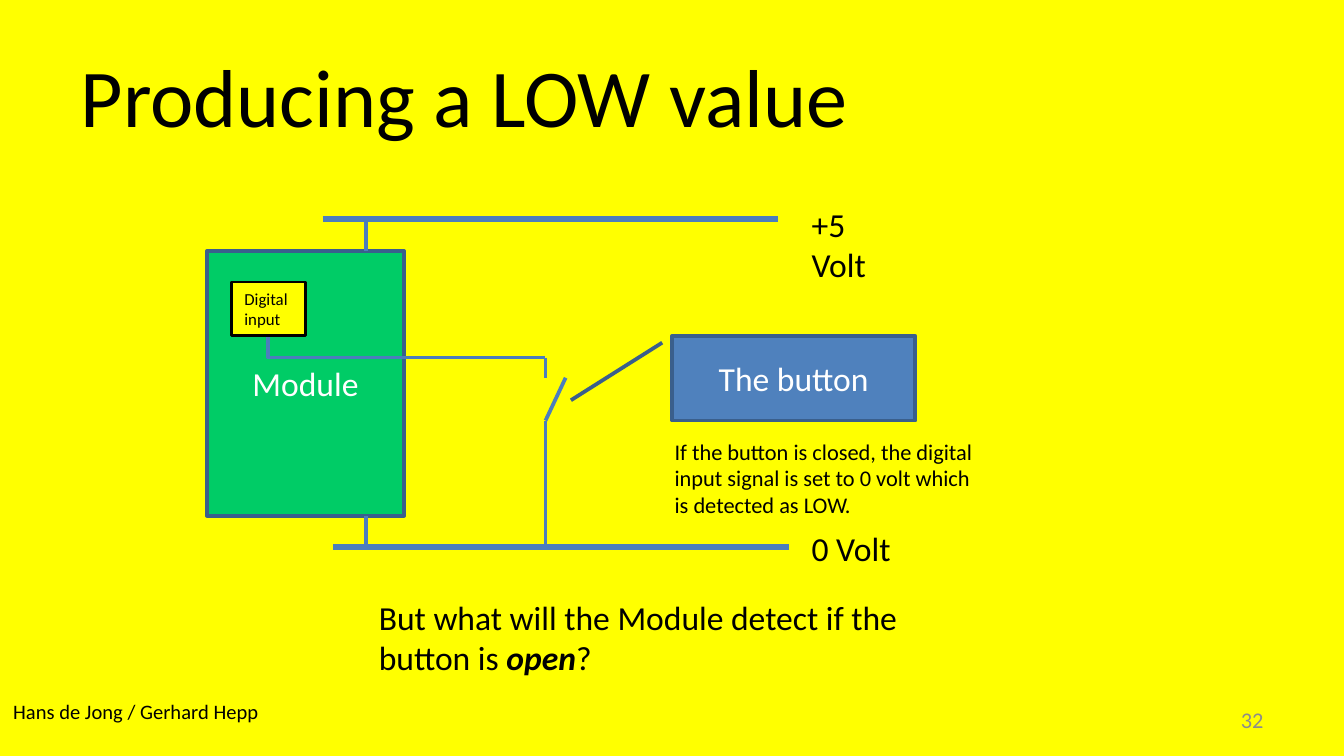
from lxml.etree import SubElement
from pptx import Presentation
from pptx.dml.color import RGBColor
from pptx.enum.shapes import MSO_CONNECTOR as Wire, MSO_SHAPE as Shape
from pptx.enum.text import MSO_ANCHOR as Anchor, PP_ALIGN as Align
from pptx.oxml.ns import qn
from pptx.util import Cm, Pt

COLORS = {
    "background": "FFFF00", "text": "000000", "light": "FFFFFF", "muted": "8C8C8C",
    "wire": "4B7EBC", "outline": "3A5F8C", "board": "00CC66", "button": "4F81BD",
}


def color(name):
    """Return the named colour."""
    return RGBColor.from_string(COLORS[name])


def write(shape, runs, size, ink="text", align=Align.LEFT, anchor=Anchor.TOP, wrap=True):
    """Write (text, font format) runs into a shape as one paragraph."""
    frame = shape.text_frame
    for key, value in {"word_wrap": wrap, "vertical_anchor": anchor}.items():
        setattr(frame, key, value)
    paragraph = frame.paragraphs[0]
    paragraph.alignment = align
    for text, extra in runs:
        run = paragraph.add_run()
        run.text = text
        for key, value in {"name": "Calibri", "size": Pt(size), **extra}.items():
            setattr(run.font, key, value)
        run.font.color.rgb = color(ink)


def add_text(slide, box, runs, size, **format_values):
    """Add a text box at a box given in centimetres."""
    write(slide.shapes.add_textbox(*map(Cm, box)), runs, size, **format_values)


def add_block(slide, box, fill, line, width, kind=Shape.RECTANGLE):
    """Add a filled and outlined shape."""
    block = slide.shapes.add_shape(kind, *map(Cm, box))
    block.shadow.inherit = False
    block.fill.solid()
    block.fill.fore_color.rgb = color(fill)
    block.line.color.rgb = color(line)
    block.line.width = Pt(width)
    return block


def add_wire(slide, start, end, width=2, kind=Wire.STRAIGHT):
    """Add a wire between two points."""
    wire = slide.shapes.add_connector(kind, *map(Cm, (*start, *end)))
    wire.line.color.rgb = color("wire")
    wire.line.width = Pt(width)
    SubElement(wire._element.spPr, qn("a:effectLst"))
    return wire


def add_corner_wire(slide, start, end):
    """Add a wire that runs down from its start and then right to its end."""
    (x1, y1), (x2, y2) = start, end
    mid_x, mid_y = (x1 + x2) / 2, (y1 + y2) / 2
    half_run, half_drop = (x2 - x1) / 2, (y2 - y1) / 2
    wire = add_wire(slide, (mid_x + half_drop, mid_y - half_run),
                    (mid_x - half_drop, mid_y + half_run), kind=Wire.ELBOW)
    properties = wire._element.spPr
    properties.find(qn("a:prstGeom")).set("prst", "bentConnector2")
    properties.find(qn("a:xfrm")).set("rot", str(270 * 60000))


def add_title(slide, left, top, width, height):
    """Place and format the title."""
    title = slide.shapes.title
    for key, value in {"left": left, "top": top, "width": width, "height": height}.items():
        setattr(title, key, Cm(value))
    write(title, [("Producing a LOW value", {})], 44, anchor=Anchor.MIDDLE)


def add_circuit(slide, left, top, height):
    """Draw the board, its rails, the switch and their labels."""
    def at(x, y, *size):
        return (left + x, top + y, *size)

    rail_length, pin_x, switch_x = 8.61, 3, 6.4
    board_top, board_height = 0.61, 5
    centred = {"ink": "light", "align": Align.CENTER, "anchor": Anchor.MIDDLE}

    board = add_block(slide, at(0, board_top, 3.73, board_height), "board", "outline", 2)
    write(board, [("Module", {})], 18, **centred)

    rails = [("+5 Volt", 2.19, 0, -0.41), ("0 Volt", 2.39, height, height - 0.48)]
    for label, rail_x, rail_y, label_y in rails:
        add_wire(slide, at(rail_x, rail_y), at(rail_x + rail_length, rail_y), 3)
        add_text(slide, at(11.18, label_y, 2.3, 1.02), [(label, {})], 18, wrap=False)
    for start_y, end_y in [(0, board_top), (board_top + board_height, height)]:
        add_wire(slide, at(pin_x, start_y), at(pin_x, end_y))

    input_x, input_y, input_width, input_height = 0.46, 1.19, 1.4, 1.02
    contact_y, blade_y, pivot_y = 2.62, 3, 3.81
    add_corner_wire(slide, at(input_x + input_width / 2, input_y + input_height),
                    at(switch_x, contact_y))
    add_wire(slide, at(switch_x, contact_y), at(switch_x, blade_y))
    add_wire(slide, at(switch_x, pivot_y), at(switch_x + 0.38, blade_y))
    add_wire(slide, at(switch_x, height), at(switch_x, pivot_y))

    digital_input = add_block(slide, at(input_x, input_y, input_width, input_height),
                              "background", "text", 1.5)
    write(digital_input, [("Digital input", {})], 9)

    button = add_block(slide, at(8.79, 2.21, 4.6, 1.6), "button", "outline", 2,
                       Shape.LINE_CALLOUT_1)
    for index, value in enumerate((0.08, -0.04, 0.76, -0.415)):
        button.adjustments[index] = value
    write(button, [("The button", {})], 18, **centred)
    add_text(slide, at(8.59, 4.01, 6.2, 1.8),
             [("If the button is closed, the digital input signal is set to 0 volt "
               "which is detected as LOW.", {})], 12)


def add_question(slide, left, top, width, height):
    """Ask the closing question."""
    add_text(slide, (left, top, width, height),
             [("But what will the Module detect if the button is ", {}),
              ("open", {"bold": True, "italic": True}), ("?", {})], 18)


def add_footer(slide, left, top, width, height):
    """Add the authors and the slide number."""
    add_text(slide, (left, top, 5.69, height), [("Hans de Jong / Gerhard Hepp", {})], 11)
    add_text(slide, (left + width - 1.42, top + 0.15, 1.42, height), [("32", {})], 12,
             ink="muted", align=Align.RIGHT, anchor=Anchor.MIDDLE)


def main():
    """Build and save the slide."""
    presentation = Presentation()
    presentation.slide_width, presentation.slide_height = Cm(25.4), Cm(14.29)
    slide = presentation.slides.add_slide(presentation.slide_layouts[5])
    slide.background.fill.solid()
    slide.background.fill.fore_color.rgb = color("background")
    add_title(slide, 1.27, 0, 22.86, 3.56)
    add_circuit(slide, 3.91, 4.14, 6.2)
    add_question(slide, 6.91, 11.15, 10.8, 1.8)
    add_footer(slide, 0, 13.08, 24.13, 0.74)
    presentation.save("out.pptx")


if __name__ == "__main__":
    main()
